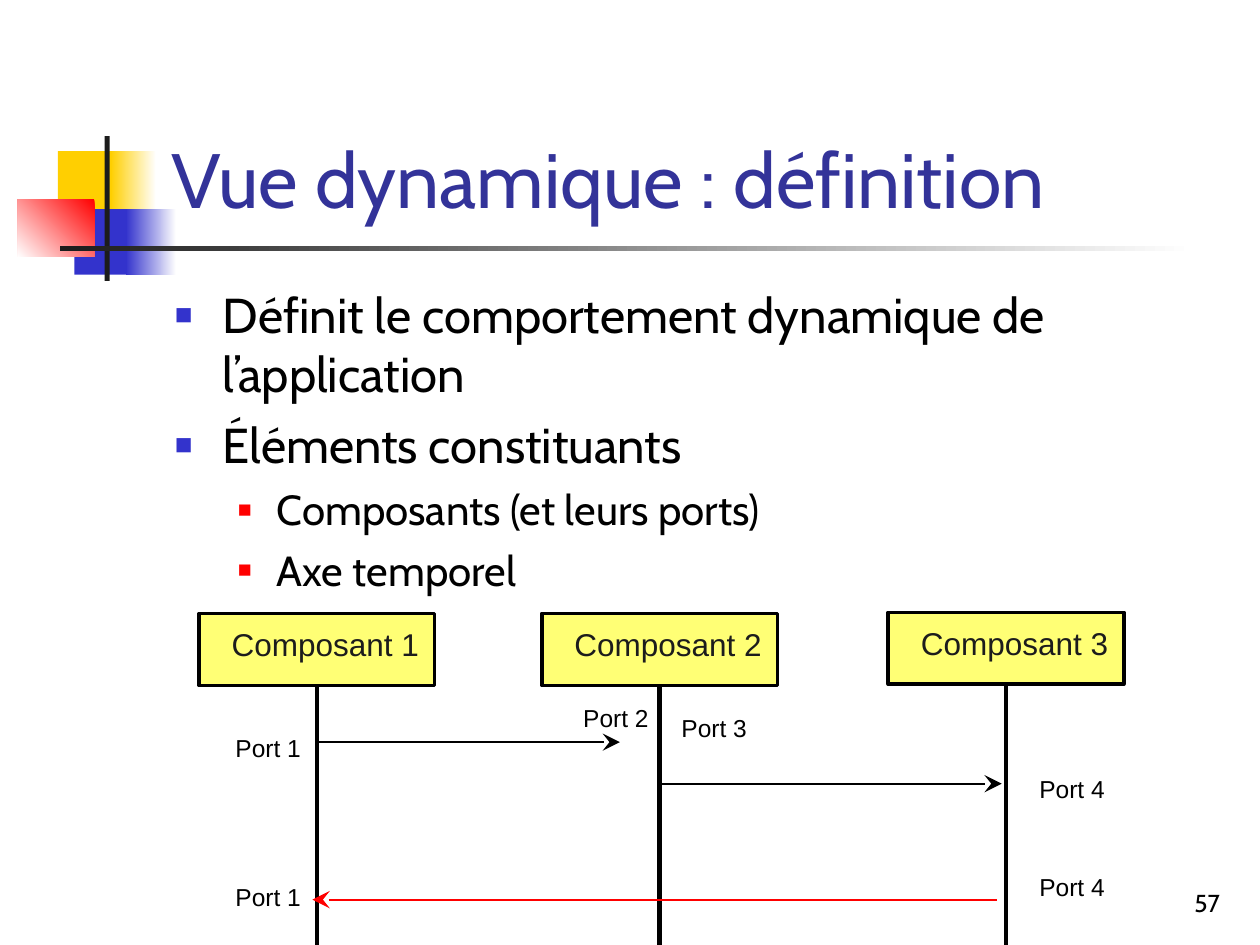
import pptx
import pptx.util
import pptx.dml.color
import pptx.enum.shapes
import pptx.enum.text
import pptx.oxml.ns
from lxml import etree

Inches, Pt = pptx.util.Inches, pptx.util.Pt
qn = pptx.oxml.ns.qn
Rect = pptx.enum.shapes.MSO_SHAPE.RECTANGLE
Line = pptx.enum.shapes.MSO_CONNECTOR.STRAIGHT
Align, Anchor = pptx.enum.text.PP_ALIGN, pptx.enum.text.MSO_ANCHOR

hues = {"gold": "FFCF01", "blue": "3333CC", "red": "FF0000", "dark": "1C1C1C",
        "white": "FFFFFF", "black": "000000", "title": "333399", "box": "FFFF75"}
rgb = {name: pptx.dml.color.RGBColor.from_string(h) for name, h in hues.items()}


def write(par, text, size, face, hue):
    run = par.add_run()
    run.text = text
    run.font.size, run.font.name = Pt(size), face
    run.font.color.rgb = rgb[hue]


def style(link, hue, width):
    link.line.color.rgb = rgb[hue]
    link.line.width = Pt(width)
    etree.SubElement(link._element.spPr, qn("a:effectLst"))


deck = pptx.Presentation()
deck.slide_width, deck.slide_height = Inches(10), Inches(7.5)
slide = deck.slides.add_slide(deck.slide_layouts[5])
shapes = slide.shapes

# Corner ornament: place, start hue, end hue, angle (no end hue is solid)
decor = [
    (0.46, 1.2, 0.48, 0.52, "gold", None, 0),
    (0.88, 1.2, 0.36, 0.52, "white", "gold", 180),
    (0.59, 1.66, 0.46, 0.52, "blue", None, 0),
    (1, 1.66, 0.4, 0.52, "white", "blue", 180),
    (0.14, 1.58, 0.61, 0.46, "red", "white", 225),
    (0.83, 1.08, 0.04, 1.15, "dark", None, 0),
    (0.48, 1.95, 9, 0.04, "white", "dark", 180),
]
for x, y, w, h, first, last, angle in decor:
    tile = shapes.add_shape(Rect, Inches(x), Inches(y), Inches(w), Inches(h))
    tile.shadow.inherit = False
    tile.line.fill.background()
    if last:
        tile.fill.gradient()
        tile.fill.gradient_angle = angle
        for stop, hue in zip(tile.fill.gradient_stops, (first, last)):
            stop.color.rgb = rgb[hue]
    else:
        tile.fill.solid()
        tile.fill.fore_color.rgb = rgb[first]

# Title
title = shapes.title
title.left, title.top = Inches(1.26), Inches(0.23)
title.width, title.height = Inches(8.52), Inches(1.6)
title.text_frame.vertical_anchor = Anchor.BOTTOM
par = title.text_frame.paragraphs[0]
par.alignment = Align.LEFT
write(par, "Vue dynamique : définition", 44, "Cabin", "title")

# Bullets: size, space before, margin, hang, mark hue, mark percent
levels = [(28, 7, 0.38, 0.38, "blue", 60), (24, 6, 0.81, 0.31, "red", 55)]
points = [
    (0, "Définit le comportement dynamique de l’application"),
    (0, "Éléments constituants"),
    (1, "Composants (et leurs ports)"),
    (1, "Axe temporel"),
]
body = shapes.add_textbox(Inches(1.29), Inches(2.21), Inches(8.5), Inches(4.5))
frame = body.text_frame
frame.word_wrap = True
for i, (level, text) in enumerate(points):
    size, space, left, hang, hue, scale = levels[level]
    par = frame.add_paragraph() if i else frame.paragraphs[0]
    par.level = level
    if i:
        par.space_before = Pt(space)
    props = par._p.get_or_add_pPr()
    props.set("marL", str(Inches(left)))
    props.set("indent", str(-Inches(hang)))
    tint = etree.SubElement(props, qn("a:buClr"))
    etree.SubElement(tint, qn("a:srgbClr"), val=hues[hue])
    etree.SubElement(props, qn("a:buSzPct"), val=str(scale * 1000))
    etree.SubElement(props, qn("a:buFont"), typeface="Arial")
    etree.SubElement(props, qn("a:buChar"), char="■")
    write(par, text, size, "Cabin", "black")

# Components with their lifelines
for i, (x, y) in enumerate([(1.58, 4.87), (4.3, 4.87), (7.05, 4.86)], 1):
    group = shapes.add_group_shape().shapes
    box = group.add_shape(Rect, Inches(x), Inches(y), Inches(1.87), Inches(0.57))
    box.shadow.inherit = False
    box.fill.solid()
    box.fill.fore_color.rgb = rgb["box"]
    box.line.color.rgb = rgb["black"]
    box.line.width = Pt(2)
    label = group.add_textbox(Inches(x + 0.16), Inches(y + 0.04), Inches(1.71), Inches(0.4))
    label.text_frame.word_wrap = False
    label.text_frame.margin_right = Inches(0.05)
    write(label.text_frame.paragraphs[0], f"Composant {i}", 18, "Arial", "dark")
    mid = box.left + box.width // 2
    life = group.add_connector(Line, mid, box.top + box.height, mid, Inches(7.5))
    life.begin_connect(box, 2)
    style(life, "black", 2.5)

# Messages: left, right, height, hue, end that bears the arrowhead
for left, right, y, hue, tip in [(2.5, 4.92, 5.89, "black", "a:tailEnd"),
                                 (5.25, 7.95, 6.22, "black", "a:tailEnd"),
                                 (2.48, 7.91, 7.14, "red", "a:headEnd")]:
    arrow = shapes.add_connector(Line, Inches(left), Inches(y), Inches(right), Inches(y))
    style(arrow, hue, 1.25)
    etree.SubElement(arrow.line._get_or_add_ln(), qn(tip),
                     type="stealth", w="lg", len="lg")

# Port labels
ports = [(1, 1.77, 5.77), (1, 1.77, 6.95), (3, 5.31, 5.61),
         (2, 4.53, 5.53), (4, 8.15, 6.09), (4, 8.15, 6.87)]
for num, x, y in ports:
    label = shapes.add_textbox(Inches(x), Inches(y), Inches(0.72), Inches(0.34))
    label.text_frame.word_wrap = False
    write(label.text_frame.paragraphs[0], f"Port {num}", 14, "Arial", "black")

# Page number
page = shapes.add_textbox(Inches(7.7), Inches(6.83), Inches(2.08), Inches(0.5))
page.text_frame.word_wrap = True
page.text_frame.vertical_anchor = Anchor.BOTTOM
par = page.text_frame.paragraphs[0]
par.alignment = Align.RIGHT
write(par, "57", 14, "Cabin", "black")

deck.save("out.pptx")
